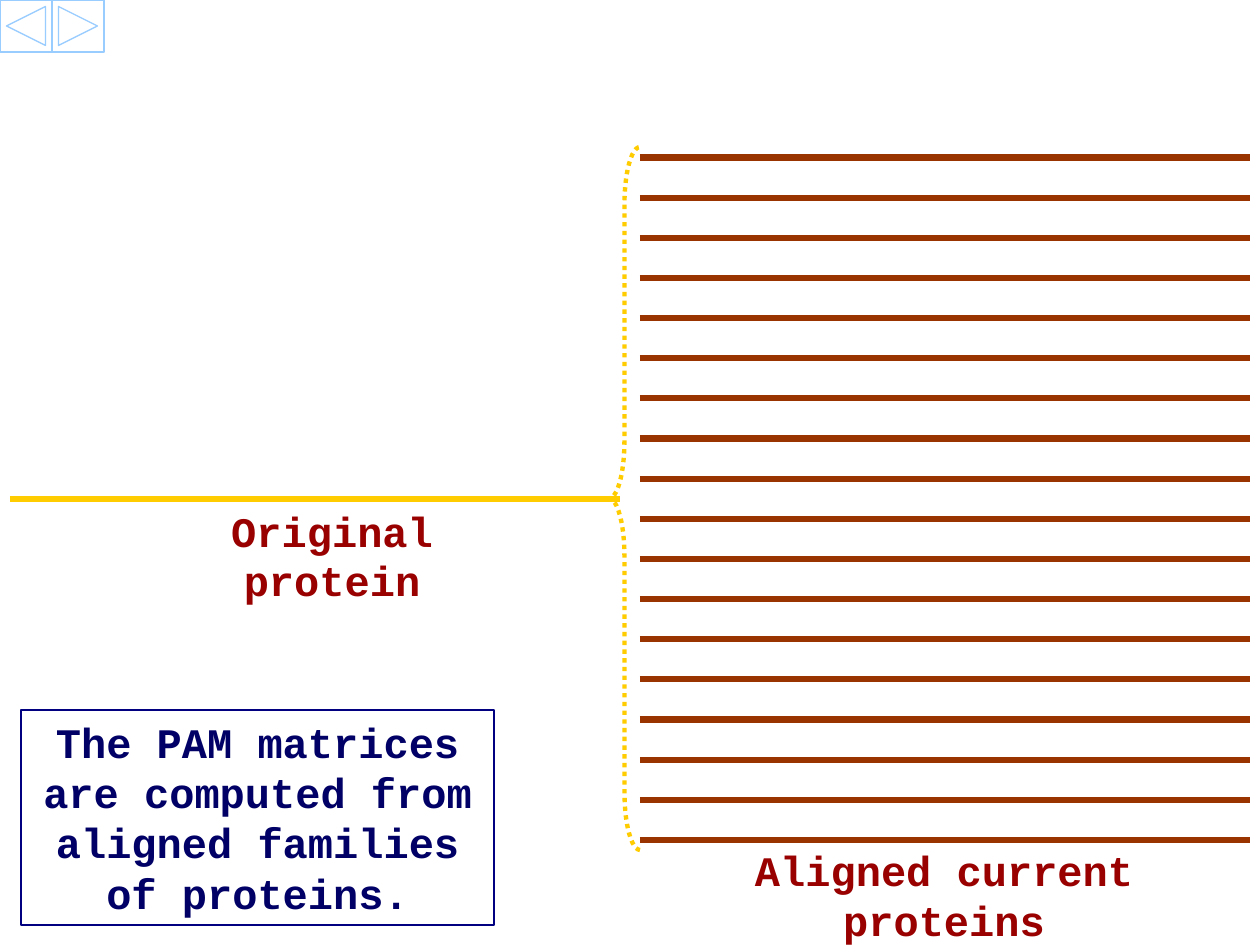
"""Build the slide on aligned protein families and PAM matrices."""
import pptx
import pptx.util
import pptx.dml.color
import pptx.enum.dml
import pptx.enum.shapes
import pptx.enum.text
import pptx.oxml.ns
import lxml.etree

SCALE = 914400 // 126
COLORS = {"navy": "000080", "note": "000066", "label": "990000",
          "aligned": "993300", "ancestor": "FFCC00", "button": "99CCFF"}
SHAPES = pptx.enum.shapes.MSO_SHAPE


def set_line(item, color, width):
    item.line.color.rgb = pptx.dml.color.RGBColor.from_string(COLORS[color])
    item.line.width = pptx.util.Pt(width)


def write_text(shape, text, color, spacing):
    frame = shape.text_frame
    frame.word_wrap = True
    frame.vertical_anchor = pptx.enum.text.MSO_ANCHOR.TOP
    frame.text = text
    paragraph = frame.paragraphs[0]
    paragraph.alignment = pptx.enum.text.PP_ALIGN.CENTER
    paragraph.line_spacing = spacing
    font = paragraph.runs[0].font
    font.name = "Courier New"
    font.size = pptx.util.Pt(24)
    font.bold = True
    font.color.rgb = pptx.dml.color.RGBColor.from_string(COLORS[color])


presentation = pptx.Presentation()
presentation.slide_width = 1260 * SCALE
presentation.slide_height = 945 * SCALE
slide = presentation.slides.add_slide(presentation.slide_layouts[6])

protein_lines = [(640, 1250, 157.5 + 682.5 * row / 17, "aligned") for row in range(18)]
protein_lines.append((10, 620, 499, "ancestor"))
for left, right, y, color in protein_lines:
    height = round(y * SCALE)
    connector = slide.shapes.add_connector(
        pptx.enum.shapes.MSO_CONNECTOR.STRAIGHT, left * SCALE, height, right * SCALE, height)
    set_line(connector, color, 3.5)
    lxml.etree.SubElement(connector._element.spPr, pptx.oxml.ns.qn("a:effectLst"))

outlines = {}
for name, kind, left, top, width, height, color, weight in [
    ("note", SHAPES.RECTANGLE, 21, 710, 473, 215, "navy", 0.75),
    ("brace", SHAPES.LEFT_BRACE, 609, 147, 31, 703, "ancestor", 2.5),
    ("previous", SHAPES.ACTION_BUTTON_BACK_OR_PREVIOUS, 0, 0, 52, 52, "button", 0.75),
    ("next", SHAPES.ACTION_BUTTON_FORWARD_OR_NEXT, 52, 0, 52, 52, "button", 0.75),
]:
    shape = slide.shapes.add_shape(
        kind, left * SCALE, top * SCALE, width * SCALE, height * SCALE)
    shape.shadow.inherit = False
    shape.fill.background()
    set_line(shape, color, weight)
    outlines[name] = shape

brace = outlines["brace"]
brace.adjustments[0] = 1.861
brace.adjustments[1] = 0.5
brace.line.dash_style = pptx.enum.dml.MSO_LINE.ROUND_DOT
write_text(outlines["note"],
           "The PAM matrices are computed from aligned families of proteins.", "note", 1.0)

for text, left, top, width, spacing in [
    ("Original protein", 120, 503, 424, 0.96),
    ("Aligned current proteins", 631, 838, 626, 1.0),
]:
    label = slide.shapes.add_textbox(left * SCALE, top * SCALE, width * SCALE, 63 * SCALE)
    write_text(label, text, "label", spacing)

presentation.save("out.pptx")
